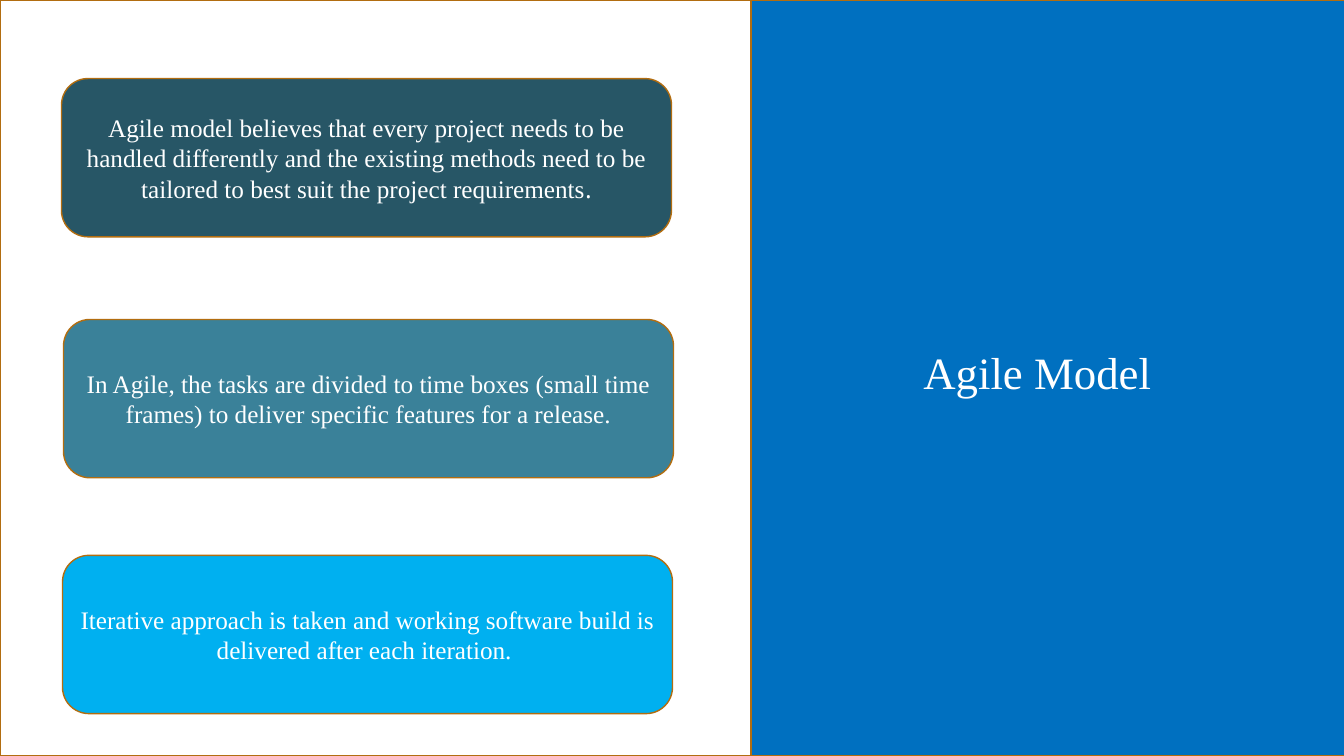
from pptx import Presentation
from pptx.dml.color import RGBColor
from pptx.enum.shapes import MSO_SHAPE
from pptx.enum.text import MSO_ANCHOR, PP_ALIGN
from pptx.util import Inches, Pt

RECT = MSO_SHAPE.RECTANGLE
ROUND = MSO_SHAPE.ROUNDED_RECTANGLE
MIDDLE = MSO_ANCHOR.MIDDLE
CENTER = PP_ALIGN.CENTER
SERIF = "Times New Roman"


def add_box(kind, left, top, width, height, fill):
    box = slide.shapes.add_shape(
        kind, Inches(left), Inches(top), Inches(width), Inches(height))
    box.shadow.inherit = False
    box.fill.solid()
    box.fill.fore_color.rgb = RGBColor.from_string(fill)
    box.line.color.rgb = RGBColor.from_string("B26D10")
    box.line.width = Pt(1)
    return box


def add_run(para, text, size, face=SERIF):
    run = para.add_run()
    run.text = text
    for name, value in {"size": Pt(size), "name": face}.items():
        setattr(run.font, name, value)
    run.font.color.rgb = RGBColor.from_string("FFFFFF")


deck = Presentation()
deck.slide_width = Inches(13.33)
deck.slide_height = Inches(7.5)
slide = deck.slides.add_slide(deck.slide_layouts[6])

add_box(RECT, 7.45, 0, 5.89, 7.5, "0070C0")
title = slide.shapes.add_textbox(
    Inches(9.06), Inches(3.37), Inches(3.09), Inches(0.64))
title.text_frame.word_wrap = True
add_run(title.text_frame.paragraphs[0], "Agile Model", 32)
add_box(RECT, 0, 0, 7.45, 7.5, "FFFFFF")

cards = [
    (0.61, 0.78, "275666", [
        ("Agile model believes that every project needs to be handled "
         "differently and the existing methods need to be tailored to best "
         "suit the project requirements", SERIF),
        (".", "Open Sans")]),
    (0.63, 3.17, "3A8199", [
        ("In Agile, the tasks are divided to time boxes (small time frames) "
         "to deliver specific features for a release.", SERIF)]),
    (0.62, 5.51, "00B0F0", [
        ("Iterative approach is taken and working software build is "
         "delivered after each iteration. ", SERIF)]),
]
for left, top, fill, runs in cards:
    frame = add_box(ROUND, left, top, 6.05, 1.57, fill).text_frame
    frame.word_wrap = True
    frame.vertical_anchor = MIDDLE
    para = frame.paragraphs[0]
    para.alignment = CENTER
    for text, face in runs:
        add_run(para, text, 18, face)

deck.save("out.pptx")
